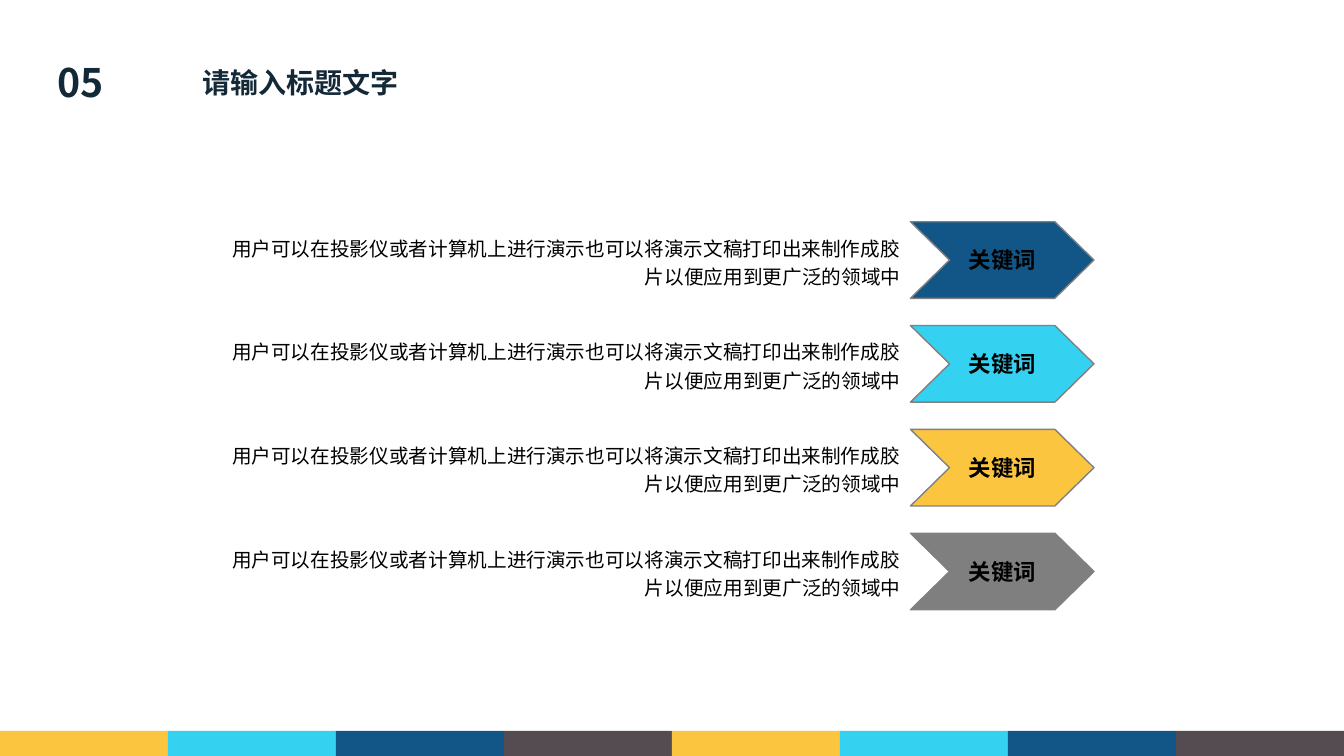
from dataclasses import dataclass

from lxml import etree
from pptx import Presentation
from pptx import util as u
from pptx.dml.color import RGBColor
from pptx.enum import shapes, text
from pptx.oxml import ns

COLOURS = {
    "navy": "142938",
    "blue": "115686",
    "cyan": "35D1F1",
    "yellow": "FCC540",
    "brown": "554C51",
    "grey": "7F7F7F",
    "outline": "808080",
    "black": "000000",
}
CJK_FONT = "Noto Sans CJK SC"
WIDTH, HEIGHT = 13.33, 7.5
KEYWORD = "关键词"
DESCRIPTION = "用户可以在投影仪或者计算机上进行演示也可以将演示文稿打印出来制作成胶片以便应用到更广泛的领域中"


@dataclass
class Area:
    left: float
    top: float
    width: float
    height: float

    def lengths(self) -> list:
        return [u.Inches(n) for n in (self.left, self.top, self.width, self.height)]


@dataclass
class KeywordRow:
    colour: str
    keyword: str = KEYWORD
    description: str = DESCRIPTION


def rgb(name: str) -> RGBColor:
    return RGBColor.from_string(COLOURS[name])


def write(box, words: str, *, size: int, font: str = "Arial", colour: str = "black",
          bold: bool = False, align=text.PP_ALIGN.LEFT, spacing: float = 1.0,
          wrap: bool = True, grow: bool = True) -> None:
    frame = box.text_frame
    frame.word_wrap = wrap
    frame.auto_size = (text.MSO_AUTO_SIZE.SHAPE_TO_FIT_TEXT if grow
                       else text.MSO_AUTO_SIZE.NONE)
    para = frame.paragraphs[0]
    para.alignment = align
    para.line_spacing = spacing
    span = para.add_run()
    span.text = words
    span.font.name = font
    span.font.size = u.Pt(size)
    span.font.bold = bold
    span.font.color.rgb = rgb(colour)
    # East Asian typeface for the Chinese characters
    east_asian = etree.SubElement(span.font._element, ns.qn("a:ea"))
    east_asian.set("typeface", CJK_FONT)


def add_text(parent, area: Area, words: str, **style) -> None:
    write(parent.add_textbox(*area.lengths()), words, **style)


def add_filled(parent, kind, area: Area, colour: str):
    shape = parent.add_shape(kind, *area.lengths())
    shape.shadow.inherit = False
    shape.fill.solid()
    shape.fill.fore_color.rgb = rgb(colour)
    shape.line.fill.background()
    return shape


def add_row(page, row: KeywordRow, top: float) -> None:
    group = page.shapes.add_group_shape().shapes
    arrow = add_filled(group, shapes.MSO_SHAPE.CHEVRON,
                       Area(9.03, top, 1.82, 0.76), row.colour)
    arrow.adjustments[0] = 0.51
    arrow.line.color.rgb = rgb("outline")
    arrow.line.width = u.Pt(1)
    arrow.text_frame.vertical_anchor = text.MSO_ANCHOR.MIDDLE
    write(arrow, row.keyword, size=16, bold=True, align=text.PP_ALIGN.CENTER,
          wrap=False, grow=False)
    add_text(group, Area(2.11, top + 0.05, 6.92, 0.67), row.description, size=14,
             align=text.PP_ALIGN.RIGHT, spacing=1.2)


def main() -> None:
    deck = Presentation()
    deck.slide_width, deck.slide_height = u.Inches(WIDTH), u.Inches(HEIGHT)
    page = deck.slides.add_slide(deck.slide_layouts[6])

    # Heading
    heading = {"font": CJK_FONT, "colour": "navy", "bold": True}
    add_text(page.shapes, Area(0.45, 0.53, 0.69, 0.57), "05", size=28,
             align=text.PP_ALIGN.CENTER, **heading)
    add_text(page.shapes, Area(1.91, 0.6, 2.17, 0.44), "请输入标题文字", size=20,
             wrap=False, **heading)

    # Colour band along the bottom edge
    band = page.shapes.add_group_shape().shapes
    band_colours = ["yellow", "cyan", "blue", "brown"] * 2
    step = WIDTH / len(band_colours)
    for index, colour in enumerate(band_colours):
        add_filled(band, shapes.MSO_SHAPE.RECTANGLE,
                   Area(index * step, HEIGHT - 0.25, step, 0.25), colour)

    # Descriptions with keyword arrows
    rows = [KeywordRow(colour) for colour in ("blue", "cyan", "yellow", "grey")]
    for index, row in enumerate(rows):
        add_row(page, row, 2.2 + index * 1.03)

    deck.save("out.pptx")


if __name__ == "__main__":
    main()
